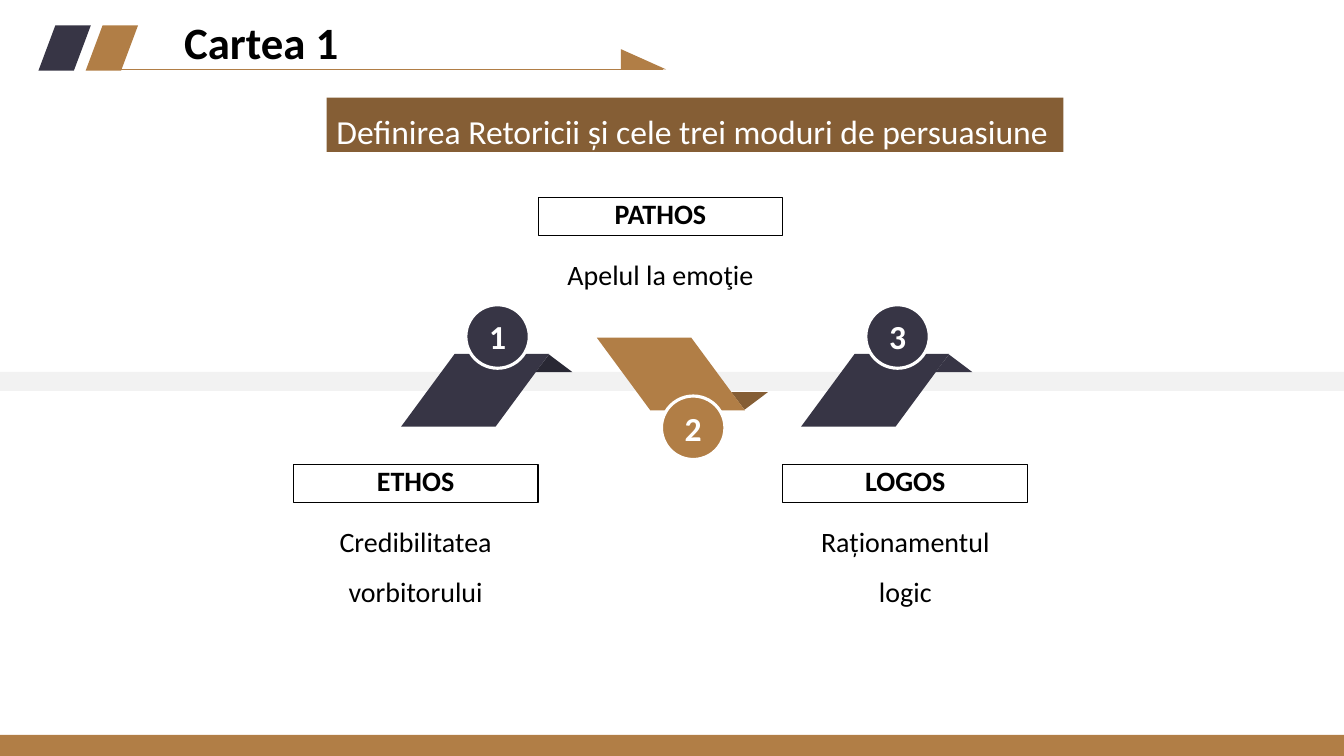
from dataclasses import dataclass

import pptx
import pptx.dml.color
import pptx.enum.shapes
import pptx.enum.text
import pptx.oxml.ns
import pptx.util
from lxml import etree
from pptx.util import Cm

SHAPE = pptx.enum.shapes.MSO_SHAPE
ALIGN = pptx.enum.text.PP_ALIGN
ANCHOR = pptx.enum.text.MSO_ANCHOR


@dataclass(frozen=True)
class Theme:
    font: str = "Calibri"
    navy: str = "373545"
    shadow_navy: str = "292834"
    bronze: str = "B17E46"
    dark_bronze: str = "855E35"
    band: str = "F2F2F2"
    black: str = "000000"
    white: str = "FFFFFF"
    title_size: int = 32
    large_size: int = 24
    body_size: int = 20


@dataclass(frozen=True)
class Mode:
    """One mode of persuasion: its ribbon and its labelled text."""
    number: str
    name: str
    caption: str
    ribbon_left: float
    ribbon_top: float
    label_top: float
    color: str
    fold_color: str
    mirrored: bool = False


THEME = Theme()
SLIDE_WIDTH, SLIDE_HEIGHT = 33.87, 19.05
RIBBON_WIDTH, RIBBON_HEIGHT, RIBBON_SLANT = 3.73, 1.83, 0.737
FOLD_WIDTH, FOLD_HEIGHT, FOLD_ANGLE = 0.74, 0.56, 37
FOLD_LEFT, FOLD_TOP = 3.48, 0.18
BADGE_SIZE, BADGE_LEFT, BADGE_TOP = 1.6, 1.63, -1.24
LABEL_LEFT, LABEL_WIDTH, LABEL_HEIGHT = 7.39, 6.17, 0.95
CAPTION_HEIGHT = 2.44

MODES = [
    Mode("1", "ETHOS", "Credibilitatea vorbitorului", 10.11, 8.92, 11.71,
         THEME.navy, THEME.shadow_navy),
    Mode("2", "PATHOS", "Apelul la emoţie", 15.04, 8.51, 4.98,
         THEME.bronze, THEME.dark_bronze, mirrored=True),
    Mode("3", "LOGOS", "Raționamentul logic", 20.19, 8.92, 11.71,
         THEME.navy, THEME.navy),
]


def rgb(color: str) -> pptx.dml.color.RGBColor:
    return pptx.dml.color.RGBColor.from_string(color)


def add_box(page, kind, left: float, top: float, width: float, height: float, *,
            fill: str | None = None, line: str | None = None, line_width: float = 0.75,
            slant: float | None = None, rotation: float = 0, flipped: bool = False):
    """Add a preset shape, measured in centimetres."""
    box = page.shapes.add_shape(kind, Cm(left), Cm(top), Cm(width), Cm(height))
    box.shadow.inherit = False
    box.rotation = rotation
    if slant is not None:
        box.adjustments[0] = slant
    if fill:
        box.fill.solid()
        box.fill.fore_color.rgb = rgb(fill)
    else:
        box.fill.background()
    if line:
        box.line.color.rgb = rgb(line)
        box.line.width = pptx.util.Pt(line_width)
    else:
        box.line.fill.background()
    if flipped:
        box._element.spPr.find(pptx.oxml.ns.qn("a:xfrm")).set("flipV", "1")
    return box


def write(box, text: str, *, size: int = THEME.body_size, color: str = THEME.black,
          bold: bool = False, align=ALIGN.CENTER, anchor=ANCHOR.TOP,
          spacing: float = 1.0, wrap: bool = True) -> None:
    """Put one formatted paragraph in a shape or text box."""
    frame = box.text_frame
    frame.word_wrap = wrap
    frame.vertical_anchor = anchor
    para = frame.paragraphs[0]
    para.alignment = align
    para.line_spacing = spacing
    span = para.add_run()
    span.text = text
    span.font.name = THEME.font
    span.font.size = pptx.util.Pt(size)
    span.font.bold = bold
    span.font.color.rgb = rgb(color)


def draw_header(page) -> None:
    # Footer bar and slanted marks
    add_box(page, SHAPE.RECTANGLE, 0, 18.52, SLIDE_WIDTH, 0.53, fill=THEME.bronze)
    for index, color in enumerate((THEME.navy, THEME.bronze)):
        add_box(page, SHAPE.PARALLELOGRAM, 0.97 + 1.19 * index, 0.64, 1.32, 1.14,
                fill=color, slant=0.374)

    # Rule under the title with its wedge
    rule = page.shapes.add_connector(pptx.enum.shapes.MSO_CONNECTOR.STRAIGHT,
                                     Cm(2.82), Cm(1.75), Cm(16.71), Cm(1.75))
    rule.line.color.rgb = rgb(THEME.bronze)
    rule.line.width = pptx.util.Pt(0.5)
    etree.SubElement(rule._element.spPr, pptx.oxml.ns.qn("a:effectLst"))
    add_box(page, SHAPE.ISOSCELES_TRIANGLE, 15.65, 1.24, 1.14, 0.51,
            fill=THEME.bronze, slant=0)


def draw_ribbon(page, mode: Mode) -> None:
    fold_top, badge_top, angle = FOLD_TOP, BADGE_TOP, FOLD_ANGLE
    if mode.mirrored:
        fold_top = RIBBON_HEIGHT - FOLD_TOP - FOLD_HEIGHT
        badge_top = RIBBON_HEIGHT - BADGE_TOP - BADGE_SIZE
        angle = 360 - FOLD_ANGLE
    left, top = mode.ribbon_left, mode.ribbon_top
    add_box(page, SHAPE.RIGHT_TRIANGLE, left + FOLD_LEFT, top + fold_top,
            FOLD_WIDTH, FOLD_HEIGHT, fill=mode.fold_color, rotation=angle,
            flipped=not mode.mirrored)
    add_box(page, SHAPE.PARALLELOGRAM, left, top, RIBBON_WIDTH, RIBBON_HEIGHT,
            fill=mode.color, slant=RIBBON_SLANT, flipped=mode.mirrored)
    badge = add_box(page, SHAPE.OVAL, left + BADGE_LEFT, top + badge_top,
                    BADGE_SIZE, BADGE_SIZE, fill=mode.color,
                    line=THEME.white, line_width=2.25)
    write(badge, mode.number, size=THEME.large_size, color=THEME.white, bold=True,
          anchor=ANCHOR.MIDDLE, wrap=False)


def draw_label(page, mode: Mode, left: float) -> None:
    label = add_box(page, SHAPE.RECTANGLE, left, mode.label_top,
                    LABEL_WIDTH, LABEL_HEIGHT, line=THEME.black)
    write(label, mode.name, bold=True, anchor=ANCHOR.BOTTOM, wrap=False)
    caption = page.shapes.add_textbox(Cm(left), Cm(mode.label_top + LABEL_HEIGHT),
                                      Cm(LABEL_WIDTH), Cm(CAPTION_HEIGHT))
    write(caption, mode.caption, spacing=1.5)


def main() -> None:
    deck = pptx.Presentation()
    deck.slide_width, deck.slide_height = Cm(SLIDE_WIDTH), Cm(SLIDE_HEIGHT)
    page = deck.slides.add_slide(deck.slide_layouts[6])
    draw_header(page)

    # Grey band, ribbons and labels
    add_box(page, SHAPE.RECTANGLE, 0, 9.37, SLIDE_WIDTH, 0.48, fill=THEME.band)
    for mode in MODES:
        draw_ribbon(page, mode)
    for index, mode in enumerate(MODES):
        draw_label(page, mode, LABEL_LEFT + LABEL_WIDTH * index)

    # Subtitle banner and title
    banner = add_box(page, SHAPE.RECTANGLE, 8.23, 2.46, 18.57, 1.37,
                     fill=THEME.dark_bronze)
    write(banner, "Definirea Retoricii și cele trei moduri de persuasiune",
          size=THEME.large_size, color=THEME.white, align=ALIGN.LEFT, spacing=1.2)
    title = page.shapes.add_textbox(Cm(4.39), Cm(-0.03), Cm(9.91), Cm(1.91))
    write(title, "Cartea 1", size=THEME.title_size, bold=True,
          align=ALIGN.LEFT, spacing=1.2)

    deck.save("out.pptx")


if __name__ == "__main__":
    main()
